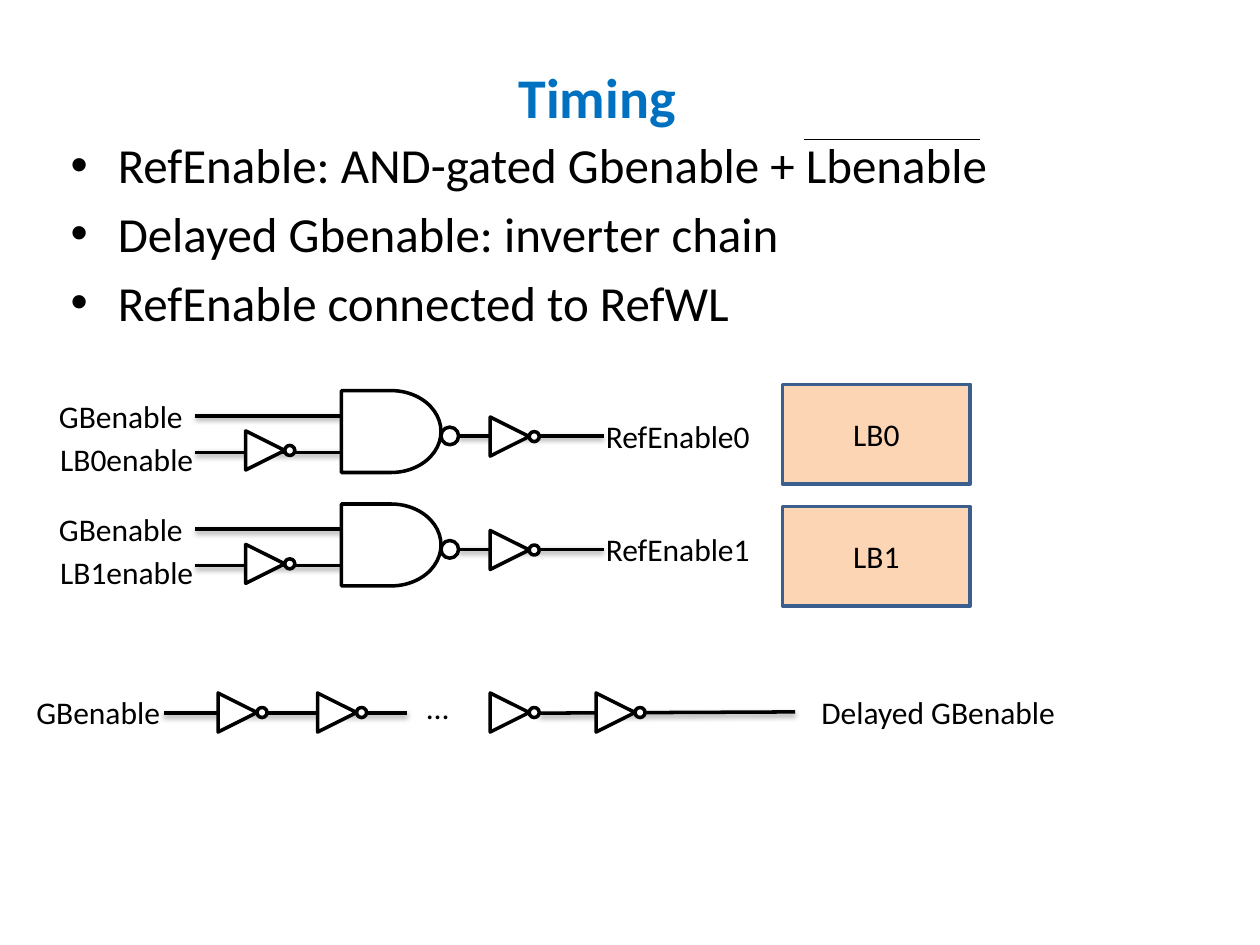
from lxml import etree
from pptx import Presentation
from pptx.dml.color import RGBColor
from pptx.enum.shapes import MSO_CONNECTOR, MSO_SHAPE
from pptx.enum.text import MSO_ANCHOR, MSO_AUTO_SIZE, PP_ALIGN
from pptx.oxml.ns import qn
from pptx.util import Inches, Pt

STRAIGHT = MSO_CONNECTOR.STRAIGHT
TRIANGLE = MSO_SHAPE.ISOSCELES_TRIANGLE
DELAY = MSO_SHAPE.FLOWCHART_DELAY
BUBBLE = MSO_SHAPE.FLOWCHART_CONNECTOR
RECTANGLE = MSO_SHAPE.RECTANGLE
CENTER = PP_ALIGN.CENTER
MIDDLE = MSO_ANCHOR.MIDDLE
NO_FIT = MSO_AUTO_SIZE.NONE

FONT = "Calibri"
BLACK, WHITE = "000000", "FFFFFF"
TITLE_BLUE, BLOCK_FILL, BLOCK_LINE = "0070C0", "FCD5B5", "3A5F8C"

INVERTER_SIZE = 0.31
INVERTER_BUBBLE = 0.08
NAND_WIDTH, NAND_HEIGHT, NAND_BUBBLE = 0.79, 0.65, 0.14


def color(value):
    return RGBColor.from_string(value)


def place(item, left, top, width, height):
    item.left, item.top = Inches(left), Inches(top)
    item.width, item.height = Inches(width), Inches(height)


def set_font(para, size, value=BLACK, bold=False):
    para.font.name = FONT
    para.font.size = Pt(size)
    para.font.bold = bold
    para.font.color.rgb = color(value)


def add_line(page, start, end, width=2, shadow=True):
    line = page.shapes.add_connector(
        STRAIGHT, *(Inches(value) for value in (*start, *end)))
    line.line.color.rgb = color(BLACK)
    line.line.width = Pt(width)
    effects = etree.SubElement(line._element.spPr, qn("a:effectLst"))
    if shadow:
        outer = etree.SubElement(
            effects, qn("a:outerShdw"), blurRad=str(Pt(3.1)),
            dist=str(Pt(1.6)), dir="5400000", rotWithShape="0")
        shade = etree.SubElement(outer, qn("a:srgbClr"), val=BLACK)
        etree.SubElement(shade, qn("a:alpha"), val="38000")


def add_part(shapes, kind, left, top, width, height, fill=WHITE, edge=BLACK):
    part = shapes.add_shape(
        kind, Inches(left), Inches(top), Inches(width), Inches(height))
    part.shadow.inherit = False
    part.fill.solid()
    part.fill.fore_color.rgb = color(fill)
    part.line.color.rgb = color(edge)
    part.line.width = Pt(2)
    return part


def add_label(page, text, left, top, width):
    label = page.shapes.add_textbox(
        Inches(left), Inches(top), Inches(width), Inches(0.4))
    label.text_frame.word_wrap = False
    para = label.text_frame.paragraphs[0]
    para.text = text
    set_font(para, 18)


def add_inverter(page, left, top):
    parts = page.shapes.add_group_shape().shapes
    triangle = add_part(parts, TRIANGLE, left, top, INVERTER_SIZE, INVERTER_SIZE)
    triangle.rotation = 90
    add_part(parts, BUBBLE, left + INVERTER_SIZE,
             top + (INVERTER_SIZE - INVERTER_BUBBLE) / 2,
             INVERTER_BUBBLE, INVERTER_BUBBLE)


def add_nand(page, left, top):
    parts = page.shapes.add_group_shape().shapes
    add_part(parts, DELAY, left, top, NAND_WIDTH, NAND_HEIGHT)
    add_part(parts, BUBBLE, left + NAND_WIDTH, top + 0.29,
             NAND_BUBBLE, NAND_BUBBLE)


def add_heading(page, left, top, width, height):
    title = page.shapes.title
    place(title, left, top, width, height)
    title.text_frame.auto_size = NO_FIT
    para = title.text_frame.paragraphs[0]
    para.text = "Timing"
    para.alignment = CENTER
    set_font(para, 32, TITLE_BLUE, bold=True)


def add_bullets(page, left, top, width, height):
    body = page.placeholders[1]
    place(body, left, top, width, height)
    frame = body.text_frame
    frame.auto_size = NO_FIT
    frame.text = "\n".join((
        "RefEnable: AND-gated Gbenable + Lbenable",
        "Delayed Gbenable: inverter chain",
        "RefEnable connected to RefWL",
    ))
    for para in frame.paragraphs:
        set_font(para, 28)
    overline = top + 0.09
    add_line(page, (left + 5.92, overline), (left + 7.32, overline),
             width=0.75, shadow=False)


def add_enable_circuit(page, index, left, top):
    gate_left = left + 2.34
    for offset in (0.2, 0.49):
        add_line(page, (left + 1.18, top + offset), (gate_left, top + offset))
    add_line(page, (left + 3.27, top + 0.36), (left + 4.42, top + 0.36))
    add_nand(page, gate_left, top)
    add_inverter(page, left + 1.58, top + 0.32)
    add_inverter(page, left + 3.52, top + 0.21)
    add_label(page, "GBenable", left, top, 1.2)
    add_label(page, f"LB{index}enable", left + 0.01, top + 0.34, 1.27)
    add_label(page, f"RefEnable{index}", left + 4.34, top + 0.16, 1.36)


def add_block(page, index, left, top, width, height):
    block = add_part(page.shapes, RECTANGLE, left, top, width, height,
                     BLOCK_FILL, BLOCK_LINE)
    block.text_frame.vertical_anchor = MIDDLE
    para = block.text_frame.paragraphs[0]
    para.text = f"LB{index}"
    para.alignment = CENTER
    set_font(para, 18)


def add_delay_chain(page, left, top):
    wire = top + 0.25
    add_line(page, (left + 1.11, wire), (left + 3.04, wire))
    add_line(page, (left + 4.09, wire), (left + 6.12, wire - 0.01))
    for offset in (1.54, 2.33, 3.7, 4.54):
        add_inverter(page, left + offset, top + 0.09)
    add_label(page, "GBenable", left, top + 0.04, 1.2)
    add_label(page, "…", left + 3.1, top, 0.53)
    add_label(page, "Delayed GBenable", left + 6.23, top + 0.04, 2.08)


def main():
    deck = Presentation()
    deck.slide_width, deck.slide_height = Inches(10), Inches(7.5)
    page = deck.slides.add_slide(deck.slide_layouts[1])
    add_bullets(page, 0.46, 1.02, 9.18, 4.95)
    add_heading(page, 1.77, 0.44, 5.94, 0.64)
    for index in range(2):
        add_enable_circuit(page, index, 0.37, 3.1 + 0.9 * index)
        add_block(page, index, 6.21, 3.05 + 0.97 * index, 1.49, 0.79)
    add_delay_chain(page, 0.19, 5.41)
    deck.save("out.pptx")


if __name__ == "__main__":
    main()
